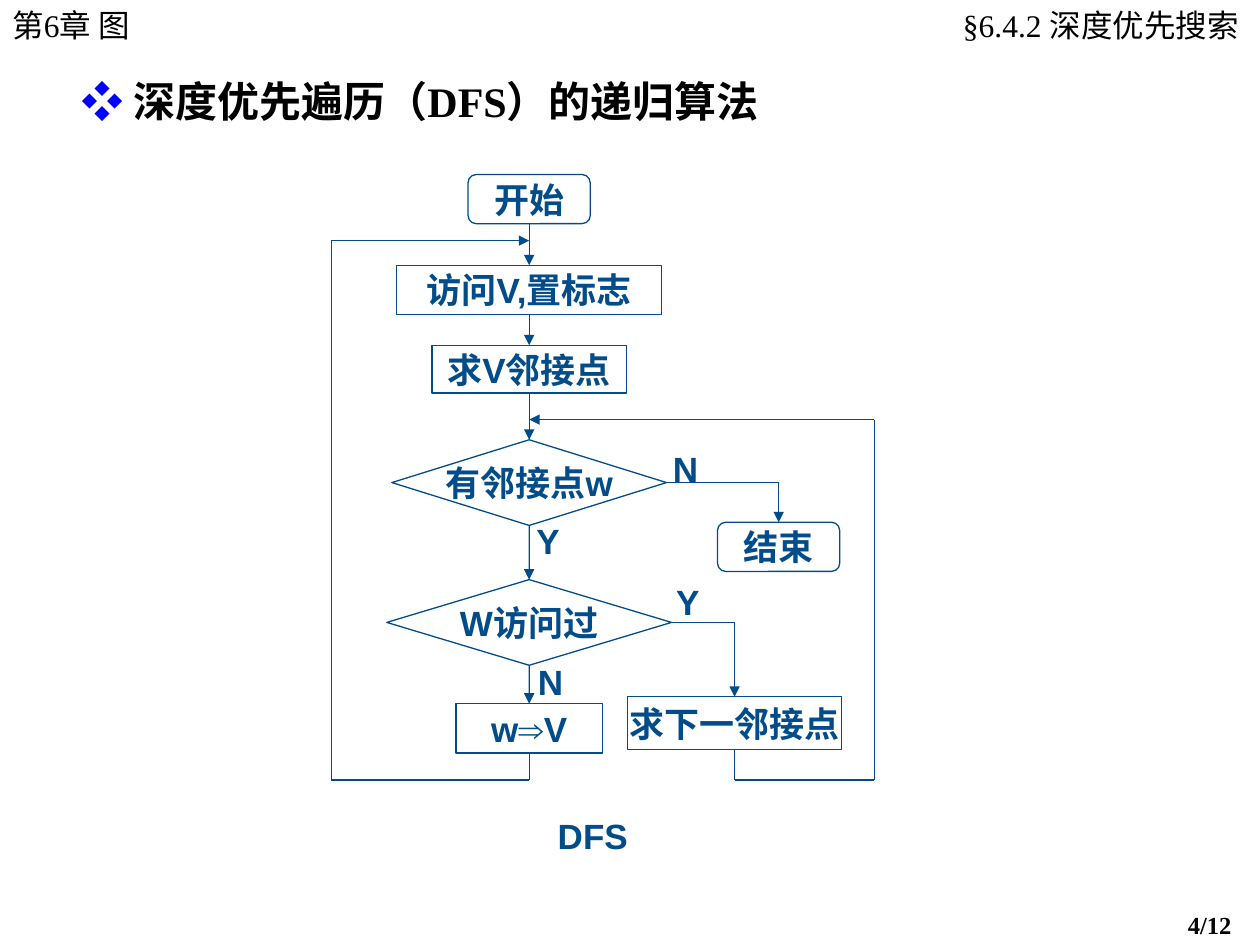
"""Build a slide with the flowchart of recursive depth-first search."""
import lxml.etree
import pptx
import pptx.dml.color
import pptx.enum.shapes
import pptx.enum.text
import pptx.oxml.ns
import pptx.util

Inches = pptx.util.Inches
qn = pptx.oxml.ns.qn
ALIGN = pptx.enum.text.PP_ALIGN
ANCHOR = pptx.enum.text.MSO_ANCHOR
SHAPE = pptx.enum.shapes.MSO_SHAPE
TOP, LEFT, BOTTOM, RIGHT = range(4)

COLORS = {"ink": "000000", "flow": "024C89", "bullet": "0000FF"}
SERIF, SANS = "Times New Roman", "Arial"
HEADING = (("❖ ", SANS, "bullet"), ("深度优先遍历（DFS）的递归算法", SERIF, "ink"))
HEADING_BOX = (0.55, 0.55, 8.75, 0.5)

MARGINALS = [
    ("第6章 图", (0, 0, 1.74, 0.4), 18, False, ALIGN.LEFT, (0.1, 0.1)),
    ("§6.4.2 深度优先搜索", (6.95, 0, 3.04, 0.4), 18, False, ALIGN.RIGHT, (0.12, 0.16)),
    ("4/12", (9.33, 7.17, 0.67, 0.34), 14, True, ALIGN.LEFT, (0.1, 0.1)),
]

COLUMNS = {"outer": 2.63, "spine": 4.2, "next": 5.83, "end": 6.18, "inner": 6.94}
ROWS = {
    "start": 1.58, "revisit": 1.91, "visit": 2.3, "find": 2.93, "rescan": 3.33,
    "has": 3.83, "end": 4.34, "seen": 4.94, "next": 5.74, "move": 5.78, "return": 6.19,
}

NODES = {
    "start": ("开始", SHAPE.FLOWCHART_ALTERNATE_PROCESS, "spine", 0.97, 0.39),
    "visit": ("访问V,置标志", SHAPE.FLOWCHART_PROCESS, "spine", 2.1, 0.39),
    "find": ("求V邻接点", SHAPE.FLOWCHART_PROCESS, "spine", 1.54, 0.38),
    "has": ("有邻接点w", SHAPE.FLOWCHART_DECISION, "spine", 2.18, 0.68),
    "next": ("求下一邻接点", SHAPE.FLOWCHART_PROCESS, "next", 1.7, 0.42),
    "move": ("w⇒V", SHAPE.FLOWCHART_PROCESS, "spine", 1.16, 0.39),
    "seen": ("W访问过", SHAPE.FLOWCHART_DECISION, "spine", 2.26, 0.68),
    "end": ("结束", SHAPE.FLOWCHART_ALTERNATE_PROCESS, "end", 0.97, 0.39),
}

ROUTES = [
    [("start", BOTTOM), ("visit", TOP)],
    [("visit", BOTTOM), ("find", TOP)],
    [("find", BOTTOM), ("has", TOP)],
    [("has", BOTTOM), ("seen", TOP)],
    [("seen", BOTTOM), ("move", TOP)],
    [("has", RIGHT), ("end", "has"), ("end", TOP)],
    [("seen", RIGHT), ("next", "seen"), ("next", TOP)],
    [("move", BOTTOM), ("spine", "return"), ("outer", "return"),
     ("outer", "revisit"), ("spine", "revisit")],
    [("next", BOTTOM), ("next", "return"), ("inner", "return"),
     ("inner", "rescan"), ("spine", "rescan")],
]

LABELS = [
    ("N", (5.24, 3.5, 0.4, 0.44)),
    ("Y", (4.16, 4.07, 0.38, 0.44)),
    ("N", (4.17, 5.19, 0.4, 0.44)),
    ("Y", (5.27, 4.55, 0.38, 0.44)),
    ("DFS", (4.33, 6.41, 0.75, 0.44)),
]


def rgb(name):
    return pptx.dml.color.RGBColor.from_string(COLORS[name])


def format_run(run, font, size, bold, color):
    run.font.name = font
    run.font.size = pptx.util.Pt(size)
    run.font.bold = bold
    run.font.color.rgb = rgb(color)


def format_frame(frame, anchor, wrap, sides=(0.1, 0.1)):
    frame.margin_left, frame.margin_right = map(Inches, sides)
    frame.margin_top = frame.margin_bottom = Inches(0.05)
    frame.vertical_anchor = anchor
    frame.word_wrap = wrap
    frame.auto_size = pptx.enum.text.MSO_AUTO_SIZE.NONE


def write_flow_text(shape, text):
    frame = shape.text_frame
    format_frame(frame, ANCHOR.MIDDLE, False)
    frame.text = text
    paragraph = frame.paragraphs[0]
    paragraph.alignment = ALIGN.CENTER
    format_run(paragraph.runs[0], SANS, 20, True, "flow")


def add_heading(slide):
    title = slide.shapes.title
    title.left, title.top, title.width, title.height = map(Inches, HEADING_BOX)
    format_frame(title.text_frame, ANCHOR.TOP, True)
    paragraph = title.text_frame.paragraphs[0]
    paragraph.alignment = ALIGN.LEFT
    for text, font, color in HEADING:
        run = paragraph.add_run()
        run.text = text
        format_run(run, font, 24, True, color)


def add_marginal(slide, text, box, size, bold, alignment, sides):
    frame = slide.shapes.add_textbox(*map(Inches, box)).text_frame
    format_frame(frame, ANCHOR.TOP, True, sides)
    frame.text = text
    frame.paragraphs[0].alignment = alignment
    format_run(frame.paragraphs[0].runs[0], SERIF, size, bold, "ink")


def add_node(slide, name):
    text, kind, column, width, height = NODES[name]
    left, top = COLUMNS[column] - width / 2, ROWS[name] - height / 2
    shape = slide.shapes.add_shape(kind, *map(Inches, (left, top, width, height)))
    shape.shadow.inherit = False
    shape.fill.background()
    shape.line.color.rgb = rgb("flow")
    shape.line.width = pptx.util.Pt(0.75)
    write_flow_text(shape, text)
    return shape


def locate(point):
    name, place = point
    if isinstance(place, str):
        return COLUMNS[name], ROWS[place]
    column, width, height = NODES[name][2:]
    across, down = {TOP: (0, -1), LEFT: (-1, 0), BOTTOM: (0, 1), RIGHT: (1, 0)}[place]
    return COLUMNS[column] + across * width / 2, ROWS[name] + down * height / 2


def add_segment(slide, shapes, start, end, arrow):
    connector = slide.shapes.add_connector(
        pptx.enum.shapes.MSO_CONNECTOR.STRAIGHT, *map(Inches, locate(start) + locate(end)))
    connector.line.color.rgb = rgb("flow")
    connector.line.width = pptx.util.Pt(0.75)
    for (name, place), connect in ((start, connector.begin_connect), (end, connector.end_connect)):
        if isinstance(place, int):
            connect(shapes[name], place)
    properties = connector.element.find(qn("p:spPr"))
    if arrow:
        lxml.etree.SubElement(properties.find(qn("a:ln")), qn("a:tailEnd"), type="triangle")
    lxml.etree.SubElement(properties, qn("a:effectLst"))


def main():
    presentation = pptx.Presentation()
    presentation.slide_width, presentation.slide_height = Inches(10), Inches(7.5)
    slide = presentation.slides.add_slide(presentation.slide_layouts[5])
    add_heading(slide)
    for marginal in MARGINALS:
        add_marginal(slide, *marginal)
    shapes = {name: add_node(slide, name) for name in NODES}
    for route in ROUTES:
        for start, end in zip(route, route[1:]):
            add_segment(slide, shapes, start, end, end is route[-1])
    for text, box in LABELS:
        write_flow_text(slide.shapes.add_textbox(*map(Inches, box)), text)
    presentation.save("out.pptx")


if __name__ == "__main__":
    main()
